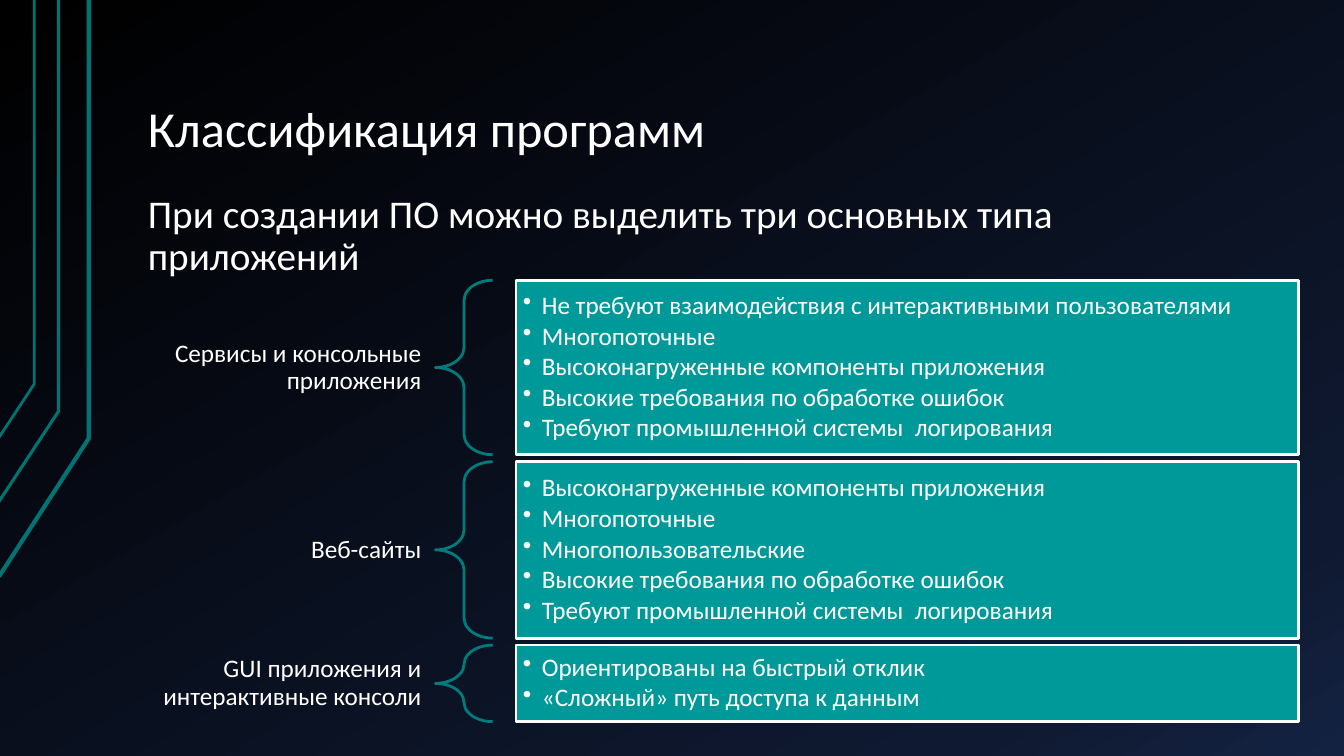
from copy import deepcopy
from dataclasses import dataclass

from lxml import etree
from pptx import Presentation
from pptx.dml.color import RGBColor
from pptx.enum.shapes import MSO_SHAPE
from pptx.enum.text import MSO_ANCHOR, PP_ALIGN
from pptx.oxml.ns import qn
from pptx.slide import Slide
from pptx.text.text import TextFrame
from pptx.util import Pt

RECTANGLE, LEFT_BRACE = MSO_SHAPE.RECTANGLE, MSO_SHAPE.LEFT_BRACE
TOP, MIDDLE, BOTTOM = MSO_ANCHOR.TOP, MSO_ANCHOR.MIDDLE, MSO_ANCHOR.BOTTOM
LEFT, RIGHT = PP_ALIGN.LEFT, PP_ALIGN.RIGHT

FONT = "Calibri"
WHITE = RGBColor(0xFF, 0xFF, 0xFF)
TEAL = RGBColor(0x00, 0x99, 0x99)
BRACE_TEAL = RGBColor(0x00, 0x7B, 0x7B)
TRACK_TEAL = RGBColor(0x00, 0x73, 0x73)
BACKGROUND_STOPS = [
    (0, RGBColor(0x00, 0x00, 0x00)),
    (0.85, RGBColor(0x0F, 0x19, 0x31)),
    (1, RGBColor(0x14, 0x22, 0x42)),
]

# Columns and rows of the classification, in points
LABEL_LEFT, LABEL_WIDTH = 105.8, 205.2
BRACE_LEFT, BRACE_WIDTH = 311, 41
BOX_LEFT, BOX_WIDTH = 368.6, 558.7
FIRST_ROW_TOP, ROW_GAP = 200.2, 5
BULLET_INDENT = 13.5


@dataclass
class Track:
    points: list[tuple[float, float]]
    weight: float


@dataclass
class Category:
    label: str
    label_height: float
    height: float
    features: list[str]


TRACKS = [
    Track([(-0.7, 411.8), (63.4, 313.2), (63.4, 0)], 3),
    Track([(-1.4, 359.3), (41.8, 293.8), (41.8, 0)], 2.25),
    Track([(-0.7, 312.5), (24.5, 274.3), (24.5, 0)], 2),
]

CATEGORIES = [
    Category("Сервисы и консольные приложения", 47.5, 124.6, [
        "Не требуют взаимодействия с интерактивными пользователями",
        "Многопоточные",
        "Высоконагруженные компоненты приложения",
        "Высокие требования по обработке ошибок",
        "Требуют промышленной системы  логирования",
    ]),
    Category("Веб-сайты", 28.1, 126, [
        "Высоконагруженные компоненты приложения",
        "Многопоточные",
        "Многопользовательские",
        "Высокие требования по обработке ошибок",
        "Требуют промышленной системы  логирования",
    ]),
    Category("GUI приложения и интерактивные консоли", 47.5, 54.7, [
        "Ориентированы на быстрый отклик",
        "«Сложный» путь доступа к данным",
    ]),
]


def paint_background(page: Slide) -> None:
    fill = page.background.fill
    fill.gradient()
    fill.gradient_angle = 300
    stop_list = page.element.find(".//" + qn("a:gsLst"))
    stop_list.append(deepcopy(stop_list[0]))
    for stop, (position, color) in zip(fill.gradient_stops, BACKGROUND_STOPS):
        stop.position = position
        stop.color.rgb = color


def write(frame: TextFrame, text: str, size: float, anchor: MSO_ANCHOR,
          inset_x: float, inset_y: float, align: PP_ALIGN = LEFT) -> None:
    frame.word_wrap = True
    frame.vertical_anchor = anchor
    frame.margin_left = frame.margin_right = Pt(inset_x)
    frame.margin_top = frame.margin_bottom = Pt(inset_y)
    frame.text = text
    for para in frame.paragraphs:
        para.alignment = align
        para.line_spacing = 0.9
        for span in para.runs:
            span.font.name = FONT
            span.font.size = Pt(size)
            span.font.color.rgb = WHITE


def add_text(page: Slide, left: float, top: float, width: float, height: float,
             *style) -> None:
    box = page.shapes.add_textbox(Pt(left), Pt(top), Pt(width), Pt(height))
    write(box.text_frame, *style)


def add_bullets(frame: TextFrame) -> None:
    for para in frame.paragraphs:
        para.level = 1
        para.space_after = Pt(2.4)
        properties = para._p.get_or_add_pPr()
        properties.set("marL", str(Pt(BULLET_INDENT)))
        properties.set("indent", str(-Pt(BULLET_INDENT)))
        etree.SubElement(properties, qn("a:buChar")).set("char", "•")


def add_track(page: Slide, track: Track) -> None:
    start, *rest = [(Pt(x), Pt(y)) for x, y in track.points]
    builder = page.shapes.build_freeform(*start)
    builder.add_line_segments(rest, close=False)
    line = builder.convert_to_shape()
    line.shadow.inherit = False
    line.fill.background()
    line.line.color.rgb = TRACK_TEAL
    line.line.width = Pt(track.weight)


def add_category(page: Slide, category: Category, top: float) -> None:
    label_top = top + (category.height - category.label_height) / 2
    add_text(page, LABEL_LEFT, label_top, LABEL_WIDTH, category.label_height,
             category.label, 18, MIDDLE, 10, 3.6, RIGHT)

    brace = page.shapes.add_shape(LEFT_BRACE, Pt(BRACE_LEFT), Pt(top),
                                  Pt(BRACE_WIDTH), Pt(category.height))
    brace.adjustments[0] = 0.35
    brace.adjustments[1] = 0.5
    brace.fill.background()
    brace.line.color.rgb = BRACE_TEAL

    box = page.shapes.add_shape(RECTANGLE, Pt(BOX_LEFT), Pt(top),
                                Pt(BOX_WIDTH), Pt(category.height))
    box.fill.solid()
    box.fill.fore_color.rgb = TEAL
    box.line.color.rgb = WHITE
    write(box.text_frame, "\n".join(category.features), 18, MIDDLE, 5, 5)
    add_bullets(box.text_frame)

    for shape in (brace, box):
        shape.shadow.inherit = False
        shape.line.width = Pt(2)


deck = Presentation()
deck.slide_width, deck.slide_height = Pt(960), Pt(540)
page = deck.slides.add_slide(deck.slide_layouts[6])

# Background and the tracks at the left edge
paint_background(page)
for track in TRACKS:
    add_track(page, track)

# Title and introduction
add_text(page, 96, 21.6, 816, 96.5, "Классификация программ", 36, BOTTOM, 9.6, 4.8)
add_text(page, 96, 133.9, 816, 351.4,
         "При создании ПО можно выделить три основных типа приложений",
         28, TOP, 9.6, 4.8)

# Categories with their features
row_top = FIRST_ROW_TOP
for category in CATEGORIES:
    add_category(page, category, row_top)
    row_top += category.height + ROW_GAP

deck.save("out.pptx")
